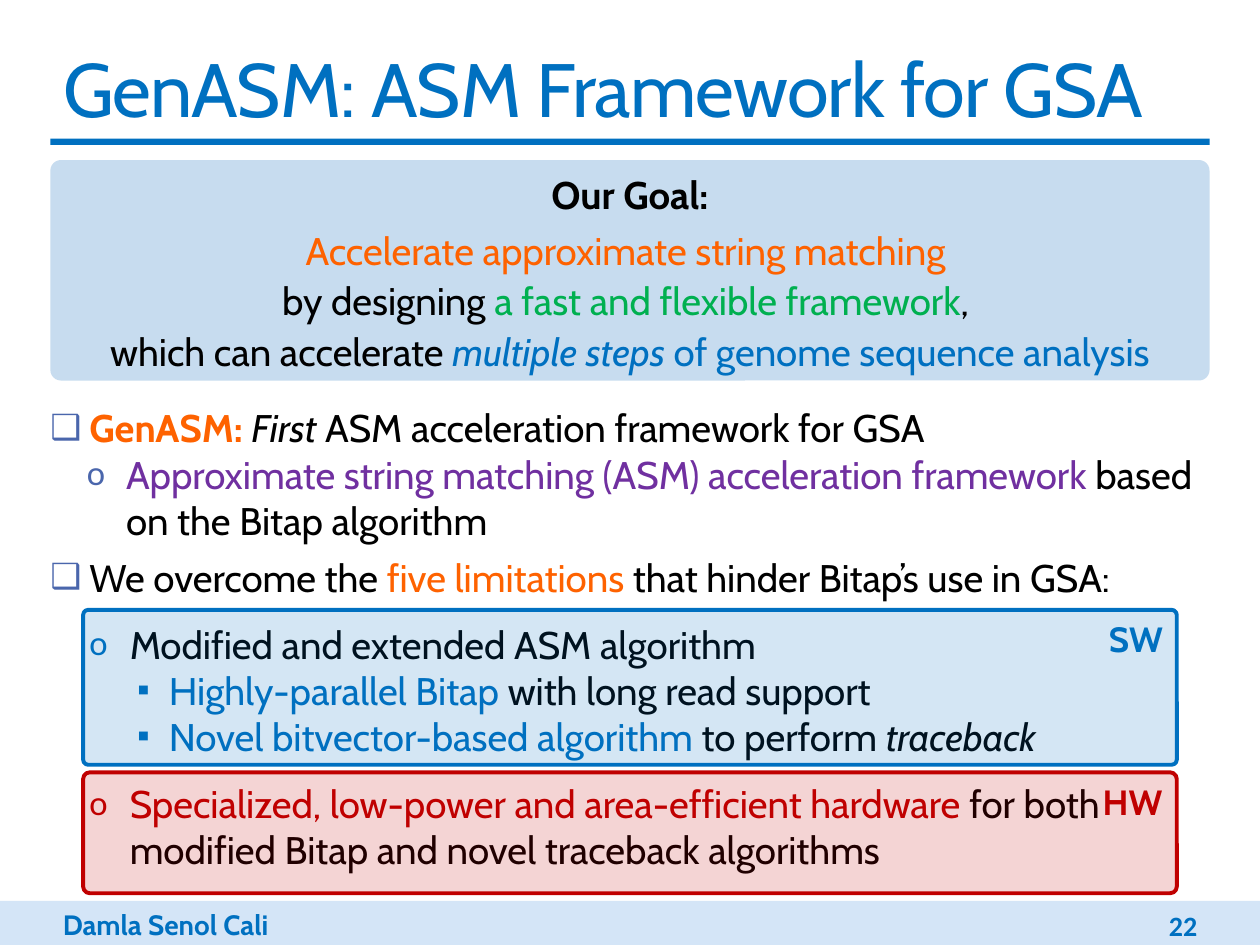
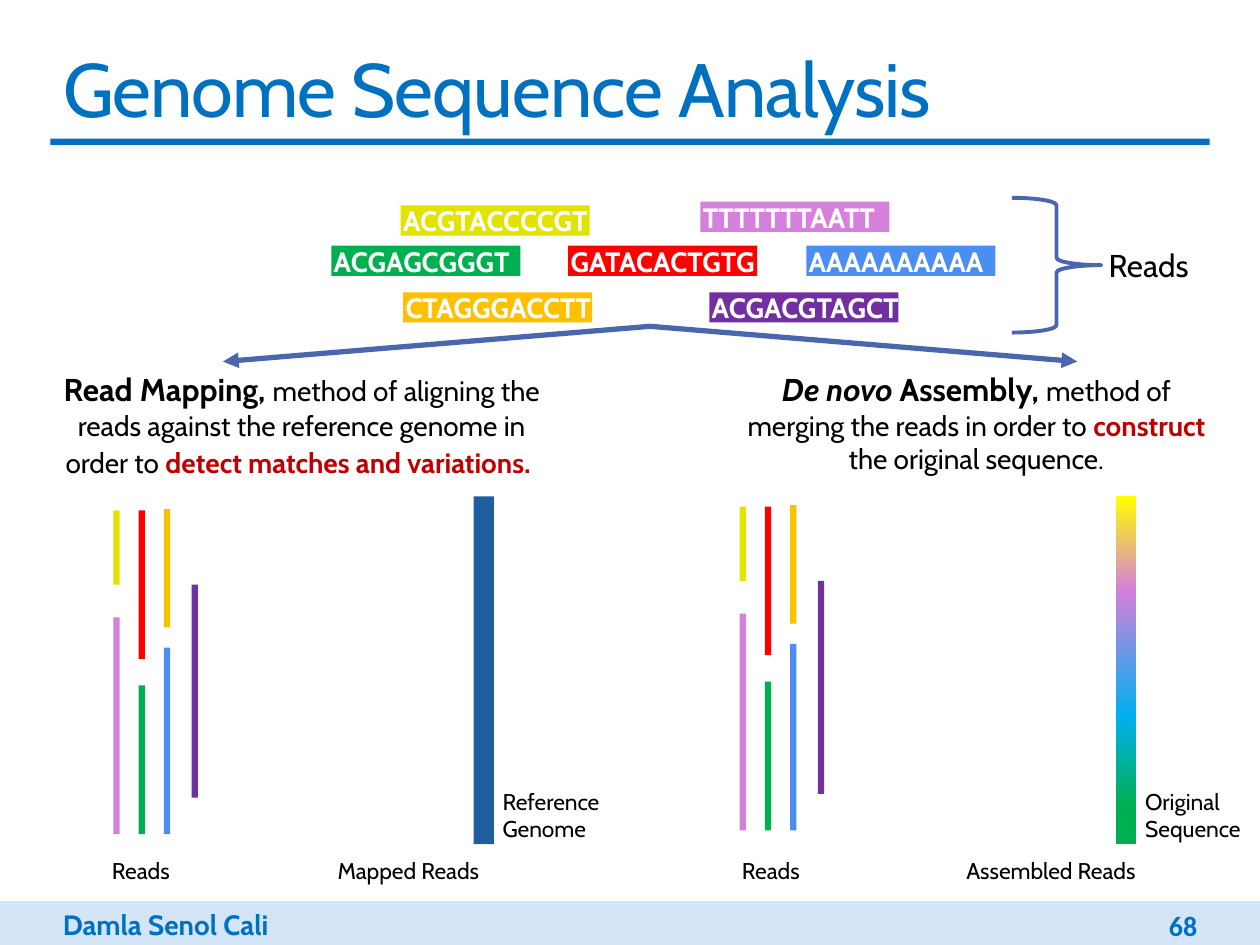
"""Build two slides on accelerating genome sequence analysis."""
from lxml import etree
from pptx import Presentation
from pptx import util as u
from pptx.dml.color import RGBColor
from pptx.enum import shapes, text
from pptx.oxml import ns

COLORS = {
    "blue": "0070C0", "band": "D4E5F7", "goal": "C0D8ED", "accent": "4A66AC",
    "orange": "FE6200", "green": "00B050", "purple": "7030A0", "dark_red": "C00000",
    "black": "000000", "white": "FFFFFF", "reference": "1F5FA0", "yellow": "E3E300",
    "red": "FF0000", "pink": "D580DB", "amber": "FFC000", "sky": "4A8EF2",
    "bright_yellow": "FFFF00", "cyan": "00B0F0",
}
FONT = "Cabin"
LEFT, WIDTH = 0.4, 9.2
RIGHT, CENTER = text.PP_ALIGN.RIGHT, text.PP_ALIGN.CENTER
RECTANGLE = shapes.MSO_SHAPE.RECTANGLE
ROUNDED = shapes.MSO_SHAPE.ROUNDED_RECTANGLE

BULLETS = {0: ("❑", 0.31, -0.31), 1: ("o", 0.6, -0.31),
           2: ("o", 0.63, -0.32), 3: ("▪", 0.94, -0.25)}
FRAMEWORK_POINTS = [
    (0, "accent", 0, [("GenASM: ", {"color": "orange", "bold": True}),
                      ("First", {"italic": True}),
                      " ASM acceleration framework for GSA"]),
    (1, "accent", 0, [("Approximate string matching (ASM) acceleration framework ",
                       {"color": "purple"}), "based on the Bitap algorithm"]),
    (0, "accent", 6, ["We overcome the ", ("five limitations ", {"color": "orange"}),
                      "that hinder Bitap’s use in GSA:"]),
    (2, "blue", 12, ["Modified and extended ASM algorithm"]),
    (3, "blue", 0, [("Highly-parallel Bitap ", {"color": "blue"}),
                    "with long read support"]),
    (3, "blue", 0, [("Novel bitvector-based algorithm ", {"color": "blue"}),
                    "to perform ", ("traceback", {"italic": True})]),
    (2, "dark_red", 12, [("Specialized, low-power and area-efficient hardware ",
                          {"color": "dark_red"}),
                         "for both modified Bitap and novel traceback algorithms"]),
]
GOAL_LINES = [
    [("Our Goal:", {"bold": True})],
    [("Accelerate approximate string matching ", {"color": "orange"})],
    ["by designing ", ("a fast and flexible framework", {"color": "green"}), ", "],
    ["which can accelerate ", ("multiple steps ", {"color": "blue", "italic": True}),
     ("of genome sequence analysis", {"color": "blue"})],
]
SEQUENCES = [
    ("ACGTACCCCGT", 3.18, 1.63, "yellow"), ("GATACACTGTG", 4.51, 1.95, "red"),
    ("TTTTTTTAATT", 5.56, 1.6, "pink"), ("CTAGGGACCTT", 3.2, 2.32, "amber"),
    ("ACGACGTAGCT", 5.63, 2.32, "purple"), ("AAAAAAAAAA", 6.4, 1.95, "sky"),
    ("ACGAGCGGGT", 2.63, 1.95, "green"),
]
READ_BARS = [
    (0.9, 4.05, 0.59, "yellow"), (1.3, 4.04, 0.94, "amber"), (1.1, 4.05, 1.18, "red"),
    (0.9, 4.9, 1.72, "pink"), (1.52, 4.64, 1.69, "purple"), (1.3, 5.14, 1.48, "sky"),
    (1.1, 5.44, 1.18, "green"),
]
ASSEMBLY_SHIFT = (4.97, -0.03)
SEQUENCE_STOPS = [(0, "bright_yellow"), (27, "pink"), (63, "cyan"), (89, "green")]


def rgb(color):
    return RGBColor.from_string(COLORS[color])


def inches(*lengths):
    return [u.Inches(length) for length in lengths]


def add_xml(parent, tag, **attributes):
    return etree.SubElement(parent, ns.qn(tag), attributes)


def style_font(font, size=None, color=None, bold=None, italic=None, name=None):
    if size:
        font.size = u.Pt(size)
    if color:
        font.color.rgb = rgb(color)
    if name:
        font.name = name
    if bold is not None:
        font.bold = bold
    if italic is not None:
        font.italic = italic


def write_paragraph(paragraph, runs, size, color="black", bold=False, align=None,
                    name=FONT):
    paragraph.alignment = align
    style_font(paragraph.font, size, color, bold, name=name)
    for item in runs:
        content, style = (item, {}) if isinstance(item, str) else item
        run = paragraph.add_run()
        run.text = content
        style_font(run.font, **style)


def write_lines(frame, lines, size, **style):
    for index, runs in enumerate(lines):
        paragraph = frame.add_paragraph() if index else frame.paragraphs[0]
        write_paragraph(paragraph, runs, size, **style)


def add_label(slide, box, lines, size, anchor=text.MSO_ANCHOR.TOP, **style):
    frame = slide.shapes.add_textbox(*inches(*box)).text_frame
    frame.word_wrap = True
    frame.vertical_anchor = anchor
    write_lines(frame, lines, size, **style)


def add_box(slide, box, fill, kind=RECTANGLE, alpha=None, line=None, corner=None):
    shape = slide.shapes.add_shape(kind, *inches(*box))
    shape.shadow.inherit = False
    if fill:
        shape.fill.solid()
        shape.fill.fore_color.rgb = rgb(fill)
    else:
        shape.fill.background()
    if alpha:
        fill_color = shape._element.spPr.find(".//" + ns.qn("a:srgbClr"))
        add_xml(fill_color, "a:alpha", val=str(alpha * 1000))
    if line:
        shape.line.color.rgb = rgb(line)
        shape.line.width = u.Pt(2.25)
    else:
        shape.line.fill.background()
    if corner:
        shape.adjustments[0] = corner
    return shape


def add_gradient(shape, stops):
    shape.fill.gradient()
    shape.fill.gradient_angle = 270
    stop_list = shape._element.spPr.find(".//" + ns.qn("a:gsLst"))
    for stop in list(stop_list):
        stop_list.remove(stop)
    for position, color in stops:
        stop = add_xml(stop_list, "a:gs", pos=str(position * 1000))
        add_xml(stop, "a:srgbClr", val=COLORS[color])


def add_arrow(slide, start, end):
    arrow = slide.shapes.add_connector(shapes.MSO_CONNECTOR.STRAIGHT,
                                       *inches(*start, *end))
    arrow.line.color.rgb = rgb("accent")
    arrow.line.width = u.Pt(3)
    add_xml(arrow.line._get_or_add_ln(), "a:tailEnd", type="triangle")
    add_xml(arrow._element.spPr, "a:effectLst")


def place(shape, box):
    shape.left, shape.top, shape.width, shape.height = inches(*box)
    shape.text_frame.auto_size = text.MSO_AUTO_SIZE.NONE


def add_bullet(paragraph, level, color):
    character, margin, indent = BULLETS[level]
    properties = paragraph._p.get_or_add_pPr()
    properties.set("marL", str(u.Inches(margin)))
    properties.set("indent", str(u.Inches(indent)))
    add_xml(add_xml(properties, "a:buClr"), "a:srgbClr", val=COLORS[color])
    add_xml(properties, "a:buSzPct", val="90000")
    add_xml(properties, "a:buFont", typeface="Calibri")
    add_xml(properties, "a:buChar", char=character)


def add_slide(presentation, layout, title, number):
    slide = presentation.slides.add_slide(presentation.slide_layouts[layout])
    add_box(slide, (0, 7.15, 10, 0.35), "band")
    add_box(slide, (LEFT, 1.1, WIDTH, 0.05), "blue")
    add_label(slide, (LEFT, 7.15, 2.5, 0.37), [["Damla Senol Cali"]], 16,
              color="blue", bold=True)
    add_label(slide, (8.22, 7.19, 1.38, 0.3), [[number]], 16, color="blue", bold=True,
              align=RIGHT, name="Calibri", anchor=text.MSO_ANCHOR.MIDDLE)
    heading = slide.shapes.title
    place(heading, (LEFT, 0.28, WIDTH, 0.82))
    heading.text_frame.vertical_anchor = text.MSO_ANCHOR.MIDDLE
    paragraph = heading.text_frame.paragraphs[0]
    write_paragraph(paragraph, [title], 43.2, "blue", align=text.PP_ALIGN.LEFT)
    paragraph.runs[0].font._element.set("spc", "-50")
    return slide


def add_points(slide, points):
    body = slide.placeholders[1]
    place(body, (LEFT, 3.16, WIDTH, 3.88))
    frame = body.text_frame
    frame.margin_left = frame.margin_right = 0
    for index, (level, color, space, runs) in enumerate(points):
        paragraph = frame.add_paragraph() if index else frame.paragraphs[0]
        paragraph.level = (0, 1, 1, 2)[level]
        add_bullet(paragraph, level, color)
        paragraph.space_before = u.Pt(space)
        write_paragraph(paragraph, runs, 22)


def add_goal(slide):
    goal = add_box(slide, (LEFT, 1.27, WIDTH, 1.75), "goal", ROUNDED, 88, corner=0.048)
    frame = goal.text_frame
    frame.vertical_anchor = text.MSO_ANCHOR.MIDDLE
    write_lines(frame, GOAL_LINES, 22, align=CENTER)
    for paragraph in frame.paragraphs:
        paragraph.line_spacing = 1.1
    frame.paragraphs[0].space_after = u.Pt(3)


def add_highlight(slide, tag, top, height, color, corner):
    box = add_box(slide, (0.66, top, 8.68, height), color, ROUNDED, 17, color, corner)
    box.text_frame.vertical_anchor = text.MSO_ANCHOR.TOP
    write_lines(box.text_frame, [[tag]], 20, color=color, bold=True, align=RIGHT)


def add_sequence(slide, letters, left, top, color):
    add_box(slide, (left, top, 1.5, 0.24), color)
    add_label(slide, (left - 0.08, top - 0.06, 1.81, 0.37), [[letters]], 16,
              color="white", bold=True)


def add_reads(slide, shift_x=0, shift_y=0):
    for left, top, height, color in READ_BARS:
        add_box(slide, (left + shift_x, top + shift_y, 0.05, height), color)
    add_label(slide, (0.79 + round(shift_x, 0), 6.75, 0.8, 0.32), [["Reads"]], 13)


def add_genome(slide, left, name, caption):
    bar = add_box(slide, (left, 3.94, 0.16, 2.76), "reference")
    add_label(slide, (left + 0.13, 6.2, 1.05, 0.54), [[word] for word in name], 13)
    add_label(slide, (left - 1.33, 6.75, 1.62, 0.32), [[caption]], 13, align=CENTER)
    return bar


def build_framework(presentation):
    slide = add_slide(presentation, 1, "GenASM: ASM Framework for GSA", "22")
    add_points(slide, FRAMEWORK_POINTS)
    add_goal(slide)
    add_highlight(slide, "SW", 4.84, 1.23, "blue", 0.033)
    add_highlight(slide, "HW", 6.13, 0.96, "dark_red", 0.055)


def build_analysis(presentation):
    slide = add_slide(presentation, 5, "Genome Sequence Analysis", "68")
    for tip in (1.77, 8.55):
        add_arrow(slide, (5.16, 2.59), (tip, 2.87))
    for sequence in SEQUENCES:
        add_sequence(slide, *sequence)
    add_box(slide, (8.03, 1.57, 0.71, 1.07), None, shapes.MSO_SHAPE.RIGHT_BRACE,
            line="accent")
    add_label(slide, (8.7, 1.9, 0.95, 0.4), [["Reads"]], 18)

    lead = {"size": 18, "bold": True}
    key = {"color": "dark_red", "bold": True}
    mapping = [("Read Mapping, ", lead),
               "method of aligning the reads against the reference genome in order to ",
               ("detect matches and variations.", key), (" ", {"size": 18})]
    assembly = [("De novo", {**lead, "italic": True}), (" Assembly, ", lead),
                "method of merging the reads in order to ", ("construct ", key),
                "the original sequence."]
    add_label(slide, (0.37, 2.89, 4.05, 0.98), [mapping], 16, align=CENTER)
    add_label(slide, (5.78, 2.89, 3.94, 0.94), [assembly], 16, align=CENTER)

    add_reads(slide)
    add_reads(slide, *ASSEMBLY_SHIFT)
    add_genome(slide, 3.76, ("Reference", "Genome"), "Mapped Reads")
    original = add_genome(slide, 8.86, ("Original", "Sequence"), "Assembled Reads")
    add_gradient(original, SEQUENCE_STOPS)


def main():
    presentation = Presentation()
    presentation.slide_width, presentation.slide_height = inches(10, 7.5)
    build_framework(presentation)
    build_analysis(presentation)
    presentation.save("out.pptx")


if __name__ == "__main__":
    main()
